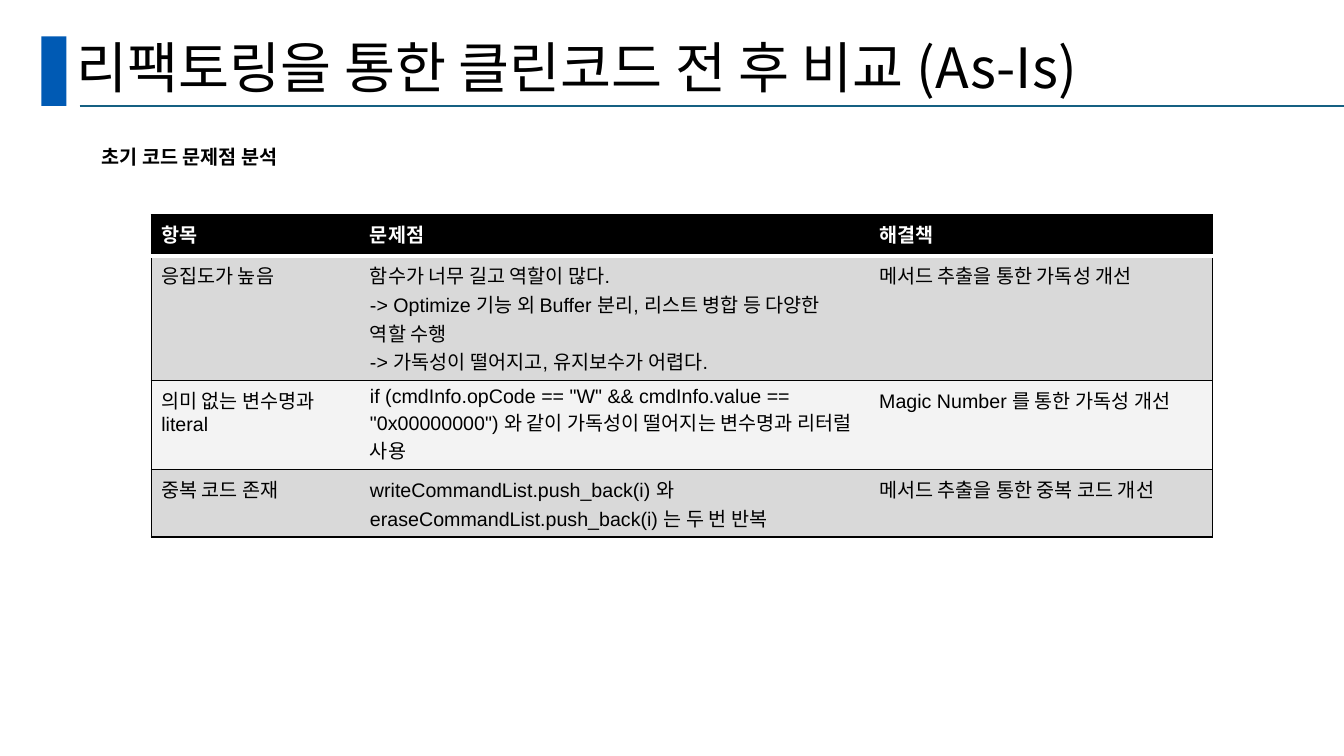
from lxml.etree import SubElement
from pptx import Presentation
from pptx.dml.color import RGBColor
from pptx.enum.shapes import MSO_CONNECTOR, MSO_SHAPE
from pptx.enum.text import MSO_ANCHOR, MSO_AUTO_SIZE, PP_ALIGN
from pptx.oxml import parse_xml
from pptx.oxml.ns import nsdecls, qn
from pptx.util import Inches, Pt

BLACK = RGBColor(0x00, 0x00, 0x00)
WHITE = RGBColor(0xFF, 0xFF, 0xFF)
BLUE = RGBColor(0x00, 0x5A, 0xB4)
TEAL = RGBColor(0x15, 0x60, 0x82)
GRAY = RGBColor(0xD9, 0xD9, 0xD9)
PALE = RGBColor(0xF3, 0xF3, 0xF3)

TITLE = "리팩토링을 통한 클린코드 전 후 비교 (As-Is)"
SUBTITLE = "초기 코드 문제점 분석"
PROBLEMS = [
    ["항목", "문제점", "해결책"],
    ["응집도가 높음",
     "함수가 너무 길고 역할이 많다.\n"
     "-> Optimize 기능 외 Buffer 분리, 리스트 병합 등 다양한 역할 수행\n"
     "-> 가독성이 떨어지고, 유지보수가 어렵다.",
     "메서드 추출을 통한 가독성 개선"],
    ["의미 없는 변수명과 literal",
     'if (cmdInfo.opCode == "W" && cmdInfo.value == "0x00000000") '
     "와 같이 가독성이 떨어지는 변수명과 리터럴 사용",
     "Magic Number 를 통한 가독성 개선"],
    ["중복 코드 존재",
     "writeCommandList.push_back(i) 와 eraseCommandList.push_back(i) 는 두 번 반복",
     "메서드 추출을 통한 중복 코드 개선"],
]


class SlideBuilder:
    title_font = "Noto Sans CJK KR"
    body_font = "Arial"
    body_size = 14

    def __init__(self, deck):
        self.slide = deck.slides.add_slide(deck.slide_layouts[5])
        self.shapes = self.slide.shapes

    def fill_text(self, frame, text, font, size, color=BLACK, bold=False):
        frame.text = text
        frame.word_wrap = True
        for paragraph in frame.paragraphs:
            paragraph.font.name = font
            paragraph.font.size = Pt(size)
            paragraph.font.bold = bold
            paragraph.font.color.rgb = color

    def title(self, text, left, top, width, height):
        heading = self.shapes.title
        heading.left, heading.top = Inches(left), Inches(top)
        heading.width, heading.height = Inches(width), Inches(height)
        frame = heading.text_frame
        self.fill_text(frame, text, self.title_font, 39.6)
        frame.auto_size = MSO_AUTO_SIZE.NONE
        frame.vertical_anchor = MSO_ANCHOR.MIDDLE
        frame.paragraphs[0].alignment = PP_ALIGN.LEFT
        frame.paragraphs[0].line_spacing = 0.9

    def bar(self, left, top, width, height, color):
        block = self.shapes.add_shape(MSO_SHAPE.RECTANGLE, Inches(left), Inches(top),
                                      Inches(width), Inches(height))
        block.shadow.inherit = False
        block.fill.solid()
        block.fill.fore_color.rgb = color
        block.line.fill.background()

    def rule(self, left, right, y, color, weight):
        line = self.shapes.add_connector(MSO_CONNECTOR.STRAIGHT, Inches(left), Inches(y),
                                         Inches(right), Inches(y))
        line.line.color.rgb = color
        line.line.width = Pt(weight)
        SubElement(line._element.spPr, qn("a:effectLst"))

    def label(self, text, left, top, width, height):
        box = self.shapes.add_textbox(Inches(left), Inches(top), Inches(width), Inches(height))
        self.fill_text(box.text_frame, text, self.body_font, self.body_size, bold=True)

    def borders(self, cell, sides):
        """Draw the L, R, T, B edges; an edge given as None stays invisible."""
        properties = cell._tc.get_or_add_tcPr()
        for position, side in enumerate("LRTB"):
            if sides[side]:
                color, weight = sides[side]
                paint = f'<a:solidFill><a:srgbClr val="{color}"/></a:solidFill>'
            else:
                weight, paint = 0, "<a:noFill/>"
            properties.insert(position, parse_xml(
                f'<a:ln{side} {nsdecls("a")} w="{Pt(weight)}">{paint}</a:ln{side}>'))

    def table(self, rows, left, top, widths, row_height):
        grid = self.shapes.add_table(len(rows), len(widths), Inches(left), Inches(top),
                                     Inches(sum(widths)), Inches(row_height * len(rows))).table
        grid.horz_banding = False
        for column, width in zip(grid.columns, widths):
            column.width = Inches(width)
        thin, thick = (BLACK, 1), (WHITE, 3)
        for r, texts in enumerate(rows):
            header = r == 0
            for c, text in enumerate(texts):
                cell = grid.cell(r, c)
                self.fill_text(cell.text_frame, text, self.body_font, self.body_size,
                               WHITE if header else BLACK, header)
                cell.fill.solid()
                cell.fill.fore_color.rgb = BLACK if header else GRAY if r % 2 else PALE
                self.borders(cell, {
                    "L": thin if c == 0 else None,
                    "R": thin if c == len(widths) - 1 else None,
                    "T": thick if r == 1 else thin,
                    "B": thick if header else thin,
                })


def main():
    deck = Presentation()
    deck.slide_width, deck.slide_height = Inches(13.33), Inches(7.5)
    page = SlideBuilder(deck)

    # Heading
    page.bar(0.41, 0.36, 0.25, 0.69, BLUE)
    page.rule(0.79, 13.33, 1.05, TEAL, 1.5)
    page.title(TITLE, 0.66, 0.34, 11.5, 0.71)

    # Problem analysis
    page.table(PROBLEMS, 1.5, 2.13, [2.07, 5.05, 3.41], 0.41)
    page.label(SUBTITLE, 0.91, 1.39, 2.6, 0.32)

    deck.save("out.pptx")


if __name__ == "__main__":
    main()
